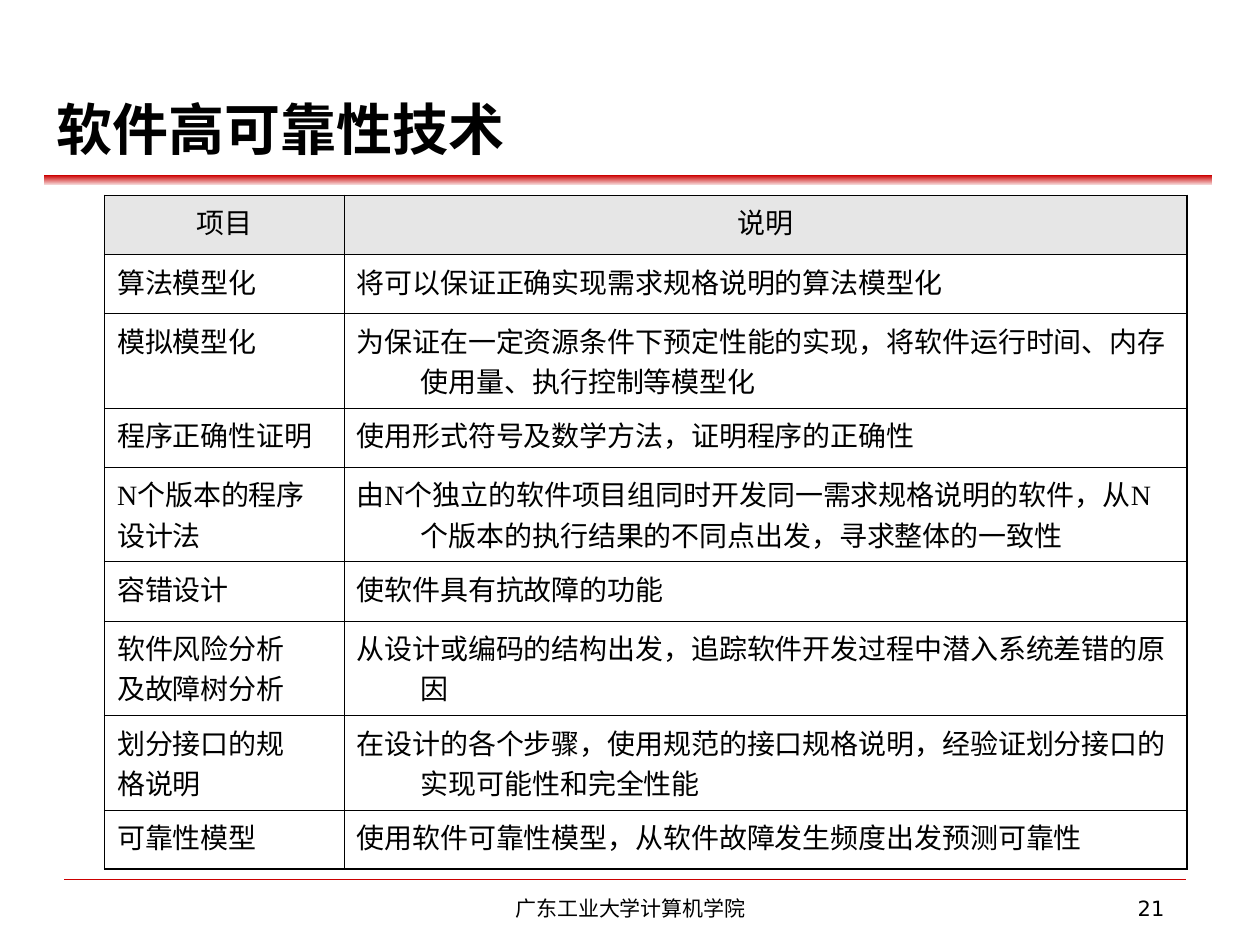
from pptx import Presentation
from pptx.dml.color import RGBColor
from pptx.enum.shapes import MSO_CONNECTOR, MSO_SHAPE
from pptx.enum.text import MSO_ANCHOR, PP_ALIGN
from pptx.oxml import parse_xml
from pptx.oxml.ns import nsdecls, qn
from pptx.util import Inches, Pt
from lxml.etree import SubElement

ROWS = [
    ("项目", "说明"),
    ("算法模型化", "将可以保证正确实现需求规格说明的算法模型化"),
    ("模拟模型化", "为保证在一定资源条件下预定性能的实现，将软件运行时间、内存使用量、执行控制等模型化"),
    ("程序正确性证明", "使用形式符号及数学方法，证明程序的正确性"),
    ("N个版本的程序\n设计法", "由N个独立的软件项目组同时开发同一需求规格说明的软件，从N个版本的执行结果的不同点出发，寻求整体的一致性"),
    ("容错设计", "使软件具有抗故障的功能"),
    ("软件风险分析\n及故障树分析", "从设计或编码的结构出发，追踪软件开发过程中潜入系统差错的原因"),
    ("划分接口的规\n格说明", "在设计的各个步骤，使用规范的接口规格说明，经验证划分接口的实现可能性和完全性能"),
    ("可靠性模型", "使用软件可靠性模型，从软件故障发生频度出发预测可靠性"),
]
COLUMN_WIDTHS = (1.9, 6.69)
SINGLE_LINE, DOUBLE_LINE = 0.47, 0.75
DOUBLE_LINE_ROWS = (2, 4, 6, 7)


def color(value):
    return RGBColor.from_string(value)


class SlideBuilder:
    heading_font = "DejaVu Sans"
    table_font = "Times New Roman"
    text_color = "000000"
    accent = "CC0000"
    accent_light = "F7DFDF"
    header_fill = "E6E6E6"
    outer_border, inner_border = 0.96, 0.45
    hanging = 0.51

    def __init__(self, slide):
        self.slide = slide

    def format_paragraph(self, paragraph, font_name, size, alignment=PP_ALIGN.LEFT, bold=False, hanging=False):
        if hanging:
            properties = paragraph._p.get_or_add_pPr()
            properties.set("marL", str(Inches(self.hanging)))
            properties.set("indent", str(-Inches(self.hanging)))
        paragraph.alignment = alignment
        font = paragraph.font
        font.name, font.size, font.bold = font_name, Pt(size), bold
        font.color.rgb = color(self.text_color)

    def title(self, text, left, top, width, height):
        shape = self.slide.shapes.title
        shape.left, shape.top = Inches(left), Inches(top)
        shape.width, shape.height = Inches(width), Inches(height)
        frame = shape.text_frame
        frame.text = text
        frame.vertical_anchor = MSO_ANCHOR.TOP
        paragraph = frame.paragraphs[0]
        paragraph.line_spacing = 0.9
        self.format_paragraph(paragraph, self.heading_font, 32, bold=True, hanging=True)

    def gradient_bar(self, left, top, width, height):
        shape = self.slide.shapes.add_shape(
            MSO_SHAPE.RECTANGLE, Inches(left), Inches(top), Inches(width), Inches(height))
        shape.shadow.inherit = False
        shape.line.fill.background()
        shape.fill.gradient()
        shape.fill.gradient_angle = 90
        for stop, value in zip(shape.fill.gradient_stops, (self.accent_light, self.accent)):
            stop.color.rgb = color(value)

    def rule(self, left, right, top):
        connector = self.slide.shapes.add_connector(
            MSO_CONNECTOR.STRAIGHT, Inches(left), Inches(top), Inches(right), Inches(top))
        connector.line.color.rgb = color(self.accent)
        connector.line.width = Pt(0.25)
        SubElement(connector._element.spPr, qn("a:effectLst"))

    def text_box(self, text, left, top, width, height, alignment):
        shape = self.slide.shapes.add_textbox(Inches(left), Inches(top), Inches(width), Inches(height))
        frame = shape.text_frame
        frame.word_wrap = True
        frame.text = text
        self.format_paragraph(frame.paragraphs[0], self.heading_font, 12, alignment)

    def borders(self, cell, outer_sides):
        properties = cell._tc.get_or_add_tcPr()
        for side in "LRTB":
            width = Pt(self.outer_border if side in outer_sides else self.inner_border)
            properties.append(parse_xml(
                f'<a:ln{side} {nsdecls("a")} w="{width}"><a:solidFill>'
                f'<a:srgbClr val="{self.text_color}"/></a:solidFill></a:ln{side}>'))

    def table(self, rows, left, top, column_widths, row_heights):
        frame = self.slide.shapes.add_table(
            len(rows), len(column_widths), Inches(left), Inches(top),
            Inches(sum(column_widths)), Inches(sum(row_heights)))
        table = frame.table
        table.first_row = table.horz_banding = False
        for column, width in zip(table.columns, column_widths):
            column.width = Inches(width)
        for row, height in zip(table.rows, row_heights):
            row.height = Inches(height)
        last_row, last_column = len(rows) - 1, len(column_widths) - 1
        for row_index, row in enumerate(rows):
            for column_index, text in enumerate(row):
                cell = table.cell(row_index, column_index)
                edges = {"L": column_index == 0, "R": column_index == last_column,
                         "T": row_index == 0, "B": row_index == last_row}
                self.borders(cell, [side for side, is_outer in edges.items() if is_outer])
                if row_index == 0:
                    cell.fill.solid()
                    cell.fill.fore_color.rgb = color(self.header_fill)
                else:
                    cell.fill.background()
                cell.text = text
                alignment = PP_ALIGN.CENTER if row_index == 0 else PP_ALIGN.LEFT
                for paragraph in cell.text_frame.paragraphs:
                    self.format_paragraph(paragraph, self.table_font, 16, alignment, hanging=True)


def main():
    presentation = Presentation()
    presentation.slide_width, presentation.slide_height = Inches(10), Inches(7.5)
    builder = SlideBuilder(presentation.slides.add_slide(presentation.slide_layouts[5]))
    builder.gradient_bar(0.35, 1.39, 9.27, 0.08)
    builder.rule(0.51, 9.41, 6.98)
    builder.title("软件高可靠性技术", 0.35, 0.76, 4.6, 0.63)
    row_heights = [DOUBLE_LINE if index in DOUBLE_LINE_ROWS else SINGLE_LINE for index in range(len(ROWS))]
    builder.table(ROWS, 0.83, 1.55, COLUMN_WIDTHS, row_heights)
    builder.text_box("广东工业大学计算机学院", 3.42, 7.06, 3.17, 0.29, PP_ALIGN.CENTER)
    builder.text_box("21", 7.17, 7.06, 2.17, 0.29, PP_ALIGN.RIGHT)
    presentation.save("out.pptx")


if __name__ == "__main__":
    main()
